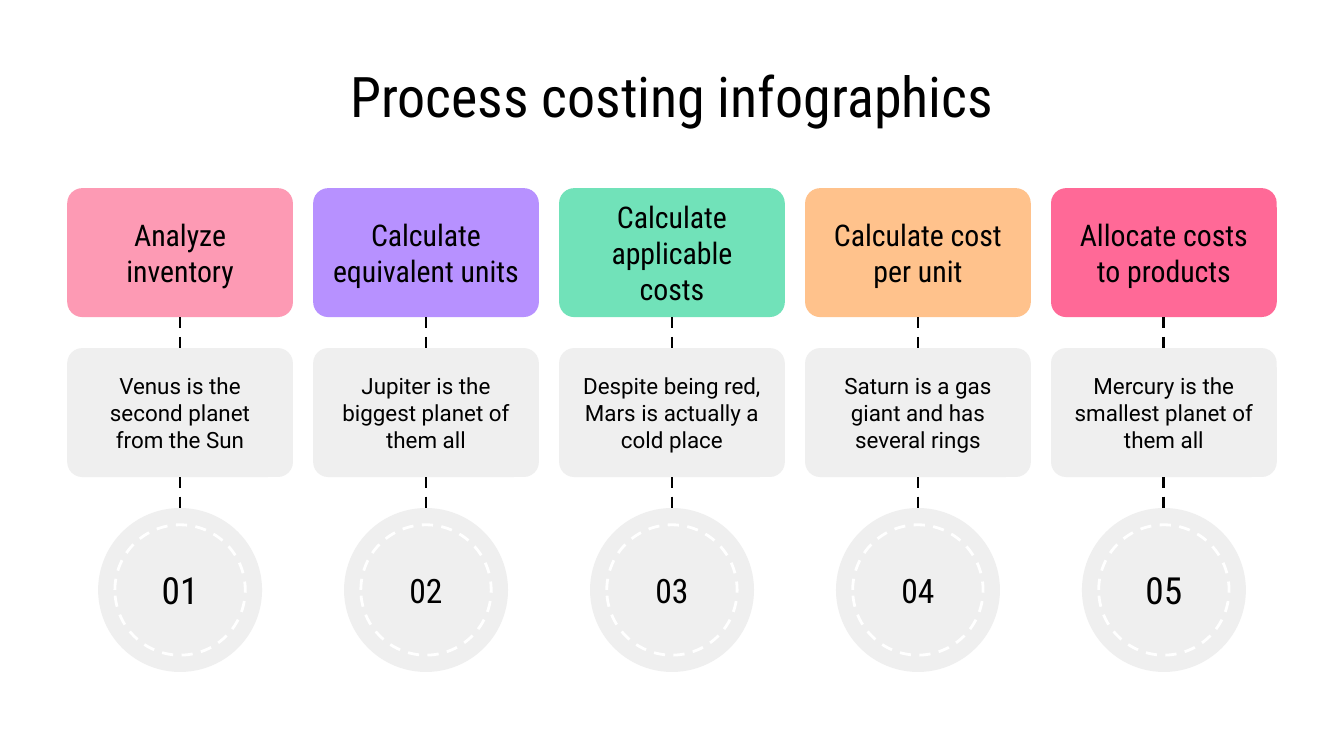
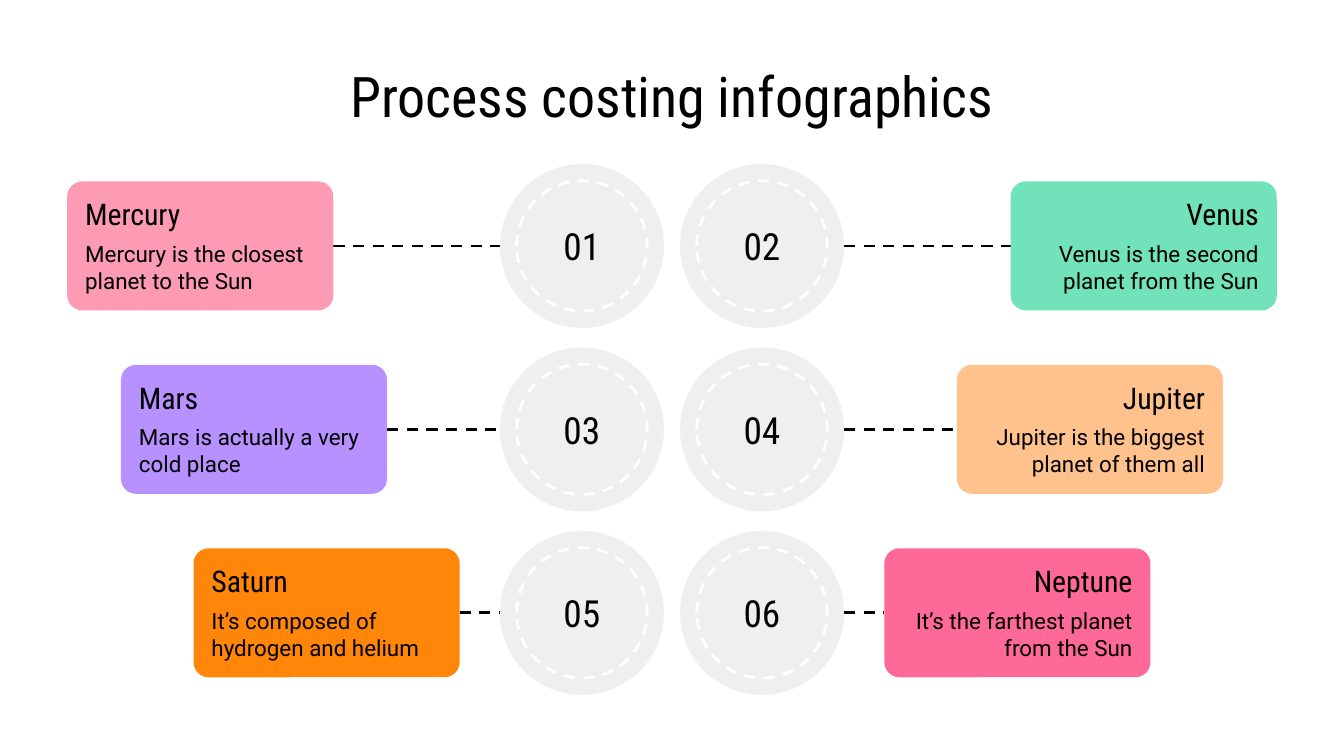
from lxml import etree
from pptx import Presentation
from pptx.dml.color import RGBColor
from pptx.enum.dml import MSO_LINE
from pptx.enum.shapes import MSO_CONNECTOR, MSO_SHAPE
from pptx.enum.text import MSO_ANCHOR, MSO_AUTO_SIZE, PP_ALIGN
from pptx.oxml.ns import qn
from pptx.util import Inches, Pt

ROUND, OVAL = MSO_SHAPE.ROUNDED_RECTANGLE, MSO_SHAPE.OVAL
STRAIGHT, DASH = MSO_CONNECTOR.STRAIGHT, MSO_LINE.DASH
LEFT, CENTER, RIGHT = PP_ALIGN.LEFT, PP_ALIGN.CENTER, PP_ALIGN.RIGHT
MIDDLE = MSO_ANCHOR.MIDDLE
TITLE_ONLY = 5

COLORS = {
    "black": "000000", "white": "FFFFFF", "gray": "EFEFEF",
    "pink": "FD9AB4", "purple": "B791FF", "green": "71E2B9",
    "peach": "FFC28C", "rose": "FF6997", "orange": "FF8609",
}
HEADING = {"name": "Roboto Condensed", "size": Pt(16)}
BODY = {"name": "Roboto", "size": Pt(12)}
TITLE = {"name": "Roboto Condensed", "size": Pt(30)}
FRAME = {"word_wrap": True, "auto_size": MSO_AUTO_SIZE.NONE, "vertical_anchor": MIDDLE,
         **{f"margin_{side}": Inches(0.1) for side in ("left", "top", "right", "bottom")}}

# Inches
SLIDE_W = 10
SLIDE_H = SLIDE_W * 9 / 16
MARGIN = 0.5
CARD_H = 0.96
CIRCLE, RING = 1.22, 0.97

TITLE_TEXT = "Process costing infographics"
STEPS = [
    ("Analyze inventory", "Venus is the second planet from the Sun", "pink", 20),
    ("Calculate equivalent units", "Jupiter is the biggest planet of them all", "purple", 18),
    ("Calculate applicable costs", "Despite being red, Mars is actually a cold place", "green", 18),
    ("Calculate cost per unit", "Saturn is a gas giant and has several rings", "peach", 18),
    ("Allocate costs to products", "Mercury is the smallest planet of them all", "rose", 20),
]
PLANETS = [
    ("Mercury", "Mercury is the closest planet to the Sun", "pink"),
    ("Venus", "Venus is the second planet from the Sun", "green"),
    ("Mars", "Mars is actually a very cold place", "purple"),
    ("Jupiter", "Jupiter is the biggest planet of them all", "peach"),
    ("Saturn", "It’s composed of hydrogen and helium", "orange"),
    ("Neptune", "It’s the farthest planet from the Sun", "rose"),
]


def rgb(name):
    return RGBColor.from_string(COLORS[name])


def set_attrs(target, values):
    for name, value in values.items():
        setattr(target, name, value)


def write(sp, text, font, align=CENTER):
    tf = sp.text_frame
    set_attrs(tf, FRAME)
    p = tf.paragraphs[0]
    p.alignment = align
    r = p.add_run()
    r.text = text
    set_attrs(r.font, font)
    r.font.color.rgb = rgb("black")


def dash_line(line, color):
    line.color.rgb = rgb(color)
    set_attrs(line, {"width": Pt(1.5), "dash_style": DASH})


def add_shape(shapes, kind, x, y, w, h, fill=None):
    sp = shapes.add_shape(kind, *map(Inches, (x, y, w, h)))
    sp.shadow.inherit = False
    sp.line.fill.background()
    if fill:
        sp.fill.solid()
        sp.fill.fore_color.rgb = rgb(fill)
    else:
        sp.fill.background()
    return sp


def add_card(shapes, x, y, w, fill):
    sp = add_shape(shapes, ROUND, x, y, w, CARD_H, fill)
    sp.adjustments[0] = 0.117
    return sp


def add_badge(shapes, x, y, number, size=20):
    """Gray disc with a dashed ring and a two-digit number."""
    add_shape(shapes, OVAL, x, y, CIRCLE, CIRCLE, "gray")
    inset = (CIRCLE - RING) / 2
    ring = add_shape(shapes, OVAL, x + inset, y + inset, RING, RING)
    dash_line(ring.line, "white")
    write(ring, f"{number:02}", {**HEADING, "size": Pt(size)})


def add_label(shapes, x, y, w, h, text, font, align):
    write(shapes.add_textbox(*map(Inches, (x, y, w, h))), text, font, align)


def add_dashes(slide, x1, y1, x2, y2):
    line = slide.shapes.add_connector(STRAIGHT, *map(Inches, (x1, y1, x2, y2)))
    dash_line(line.line, "black")
    etree.SubElement(line._element.spPr, qn("a:effectLst"))


def add_titled_slide(prs):
    slide = prs.slides.add_slide(prs.slide_layouts[TITLE_ONLY])
    box = {"left": MARGIN, "top": 0.45, "width": SLIDE_W - 2 * MARGIN, "height": 0.52}
    title = slide.shapes.title
    set_attrs(title, {name: Inches(value) for name, value in box.items()})
    write(title, TITLE_TEXT, TITLE)
    return slide


def build_steps(prs):
    """Five columns: heading card, description card, numbered badge."""
    slide = add_titled_slide(prs)
    card_w, top, row = 1.68, 1.4, 1.19
    column = (SLIDE_W - 2 * MARGIN - card_w) / (len(STEPS) - 1)
    for i, (heading, body, color, size) in enumerate(STEPS):
        x = MARGIN + i * column
        shapes = slide.shapes.add_group_shape().shapes
        add_badge(shapes, x + (card_w - CIRCLE) / 2, top + 2 * row, i + 1, size)
        write(add_card(shapes, x, top + row, card_w, "gray"), body, BODY)
        write(add_card(shapes, x, top, card_w, color), heading, HEADING)
    for i in range(len(STEPS)):
        x = MARGIN + i * column + card_w / 2
        for y in (top, top + row):
            add_dashes(slide, x, y + CARD_H, x, y + row)


def build_planets(prs):
    """Three rows mirrored about the centre, with cards stepping inwards."""
    slide = add_titled_slide(prs)
    card_w, label_w, top, row = 1.98, 1.91, 1.22, 1.365
    card_lefts, badge_left = (0.5, 0.9, 1.44), 3.72

    def place(i):
        """Row top, card left and badge left of planet i, and whether it is on the right."""
        level, on_right = divmod(i, 2)
        card_x, badge_x = card_lefts[level], badge_left
        if on_right:
            card_x, badge_x = SLIDE_W - card_x - card_w, SLIDE_W - badge_x - CIRCLE
        return top + level * row, card_x, badge_x, on_right

    for i in range(len(PLANETS)):
        y, card_x, badge_x, on_right = place(i)
        ends = (badge_x + CIRCLE, card_x) if on_right else (card_x + card_w, badge_x)
        middle = y + CIRCLE / 2
        add_dashes(slide, ends[0], middle, ends[1], middle)

    for i, (name, body, color) in enumerate(PLANETS):
        y, card_x, badge_x, on_right = place(i)
        shapes = slide.shapes.add_group_shape().shapes
        card_y = y + (CIRCLE - CARD_H) / 2
        label_x = card_x + (card_w - label_w) / 2
        align = RIGHT if on_right else LEFT
        add_card(shapes, card_x, card_y, card_w, color)
        add_badge(shapes, badge_x, y, i + 1)
        add_label(shapes, label_x, card_y + 0.09, label_w, 0.3, name, HEADING, align)
        add_label(shapes, label_x, card_y + 0.39, label_w, 0.49, body, BODY, align)


def main():
    prs = Presentation()
    set_attrs(prs, {"slide_width": Inches(SLIDE_W), "slide_height": Inches(SLIDE_H)})
    build_steps(prs)
    build_planets(prs)
    prs.save("out.pptx")


if __name__ == "__main__":
    main()
